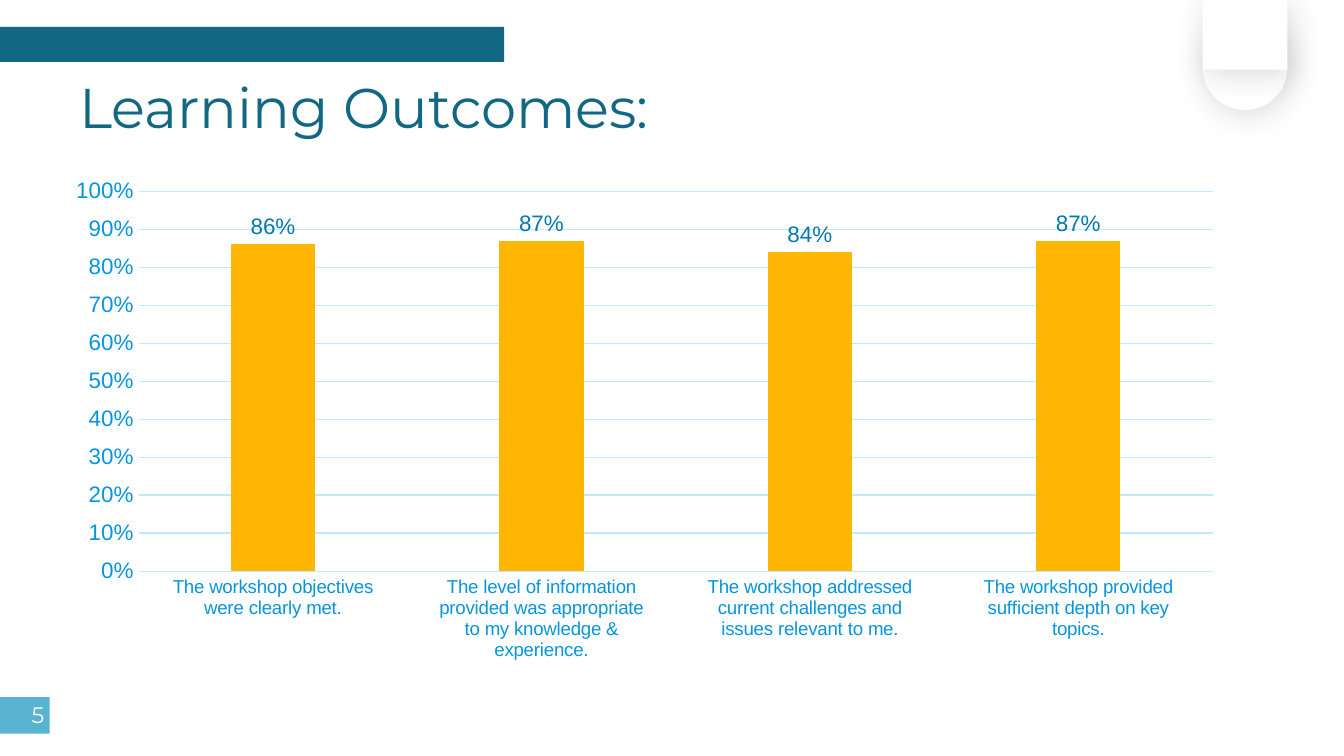
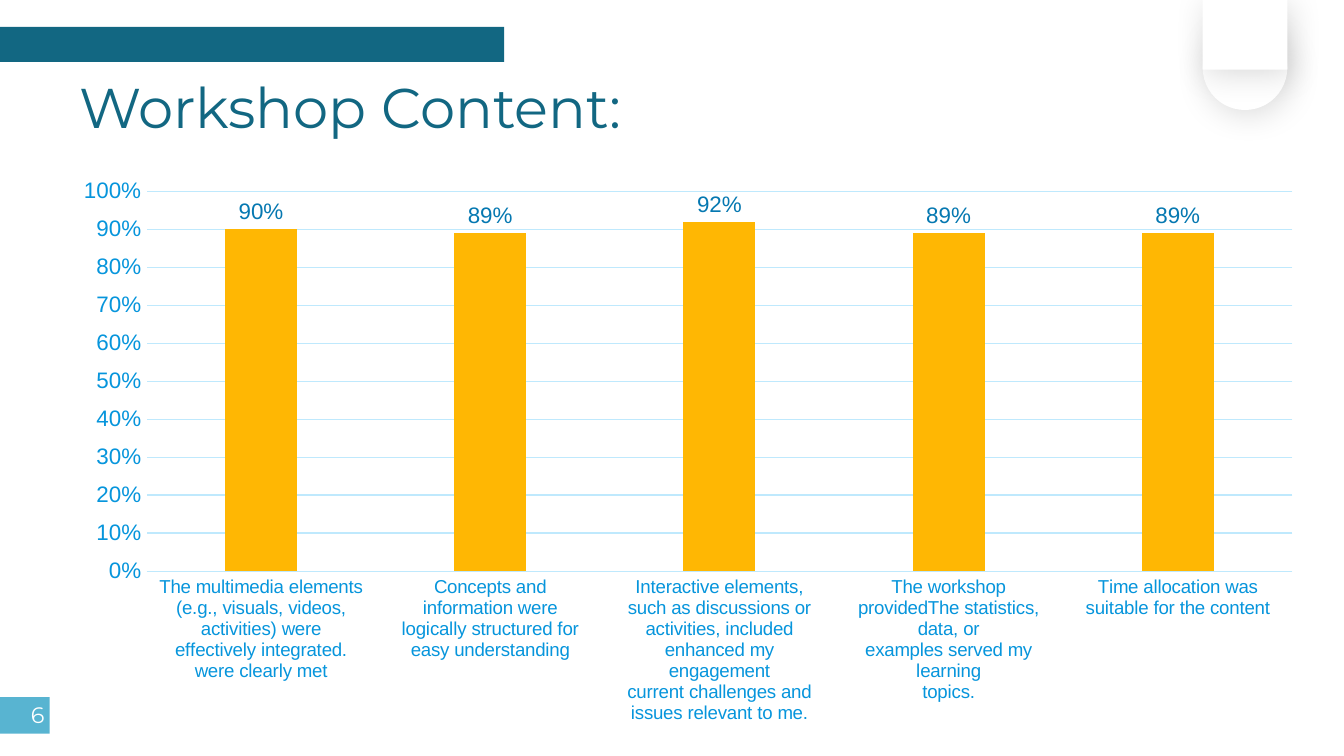
from lxml import etree
from pptx import Presentation
from pptx.chart.data import CategoryChartData
from pptx.dml.color import RGBColor
from pptx.enum.chart import XL_CHART_TYPE, XL_LABEL_POSITION, XL_TICK_MARK
from pptx.enum.shapes import MSO_SHAPE
from pptx.enum.text import MSO_ANCHOR, PP_ALIGN
from pptx.oxml import parse_xml
from pptx.oxml.ns import nsdecls, qn
from pptx.util import Cm, Pt

RECT, OVAL = MSO_SHAPE.RECTANGLE, MSO_SHAPE.OVAL
COLUMN = XL_CHART_TYPE.COLUMN_CLUSTERED
NO_TICK = XL_TICK_MARK.NONE
OUTSIDE = XL_LABEL_POSITION.OUTSIDE_END
MIDDLE, RIGHT = MSO_ANCHOR.MIDDLE, PP_ALIGN.RIGHT

WHITE, TEAL, BADGE = "FFFFFF", "126782", "58B4D1"
NAVY, AXIS, GRID, BAR, LABEL = "023047", "0695DC", "BFE9FD", "FFB703", "0578B1"
HEAD_FONT, CHART_FONT = "Montserrat", "Arial"

SHADOW = (
    f'<a:effectLst {nsdecls("a")}><a:outerShdw blurRad="{Pt(18)}" dist="{Pt(3)}" '
    'dir="2700000" algn="tl" rotWithShape="0"><a:srgbClr val="000000">'
    '<a:alpha val="14000"/></a:srgbClr></a:outerShdw></a:effectLst>'
)
PLOT = {"layoutTarget": "inner", "xMode": "edge", "yMode": "edge",
        "x": 0.093, "y": 0.038, "w": 0.88, "h": 0.656}

SLIDES = [
    (5, "Learning Outcomes:", 23.06, [
        ("The workshop objectives\nwere clearly met.", 0.86),
        ("The level of information\nprovided was appropriate\n"
         "to my knowledge &\nexperience.", 0.87),
        ("The workshop addressed\ncurrent challenges and\n"
         "issues relevant to me.", 0.84),
        ("The workshop provided\nsufficient depth on key\ntopics.", 0.87),
    ]),
    (6, "Workshop Content:", 24.61, [
        ("The multimedia elements\n(e.g., visuals, videos,\nactivities) were\n"
         "effectively integrated.\nwere clearly met", 0.9),
        ("Concepts and\ninformation were\nlogically structured for\n"
         "easy understanding", 0.89),
        ("Interactive elements,\nsuch as discussions or\nactivities, included\n"
         "enhanced my\nengagement\ncurrent challenges and\n"
         "issues relevant to me.", 0.92),
        ("The workshop providedThe statistics, data, or\nexamples served my\n"
         "learning\ntopics.", 0.89),
        ("Time allocation was\nsuitable for the content", 0.89),
    ]),
]


def rgb(value):
    return RGBColor.from_string(value)


def style_font(font, size, color, name):
    font.size = Pt(size)
    font.color.rgb = rgb(color)
    font.name = name


prs = Presentation()
prs.slide_width, prs.slide_height = Cm(25.4), Cm(14.29)

for number, title, chart_width, results in SLIDES:
    s = prs.slides.add_slide(prs.slide_layouts[6])
    tab = s.shapes.add_group_shape()

    for parent, kind, box, color in [
        (tab, OVAL, (22.73, 0.48, 1.6, 1.6), WHITE),
        (tab, RECT, (22.73, 0, 1.6, 1.32), WHITE),
        (s, RECT, (0, 13.18, 0.94, 0.69), BADGE),
        (s, RECT, (0, 0.51, 9.53, 0.66), TEAL),
    ]:
        sp = parent.shapes.add_shape(kind, *map(Cm, box))
        sp.fill.solid()
        sp.fill.fore_color.rgb = rgb(color)
        sp.line.fill.background()
        sp.shadow.inherit = False
        if parent is tab:
            effects = sp._element.spPr.find(qn("a:effectLst"))
            effects.getparent().replace(effects, parse_xml(SHADOW))

    tb = s.shapes.add_textbox(Cm(0), Cm(13.13), Cm(1.09), Cm(0.76))
    tf = tb.text_frame
    tf.word_wrap = True
    p = tf.paragraphs[0]
    p.text = str(number)
    p.alignment = RIGHT
    style_font(p.runs[0].font, 12, WHITE, HEAD_FONT)

    tb = s.shapes.add_textbox(Cm(1.5), Cm(1.5), Cm(13.87), Cm(1.24))
    tf = tb.text_frame
    tf.word_wrap = True
    tf.vertical_anchor = MIDDLE
    tf.margin_left = tf.margin_right = tf.margin_top = tf.margin_bottom = 0
    p = tf.paragraphs[0]
    p.text = title
    p.line_spacing = 0.8
    style_font(p.runs[0].font, 30, TEAL, HEAD_FONT)

    data = CategoryChartData(number_format="0%")
    data.categories = [statement for statement, score in results]
    data.add_series("Series 1", [score for statement, score in results])
    chart = s.shapes.add_chart(
        COLUMN, Cm(0.48), Cm(3.2), Cm(chart_width), Cm(10.95), data).chart
    chart.has_legend = False
    chart.has_title = False
    style_font(chart.font, 10, NAVY, CHART_FONT)

    plot_area = chart._chartSpace.chart.plotArea
    for old in plot_area.findall(qn("c:layout")):
        plot_area.remove(old)
    layout = etree.Element(qn("c:layout"))
    manual = etree.SubElement(layout, qn("c:manualLayout"))
    for tag, value in PLOT.items():
        etree.SubElement(manual, qn(f"c:{tag}")).set("val", str(value))
    plot_area.insert(0, layout)

    for axis, size in [(chart.category_axis, 10), (chart.value_axis, 12)]:
        axis.major_tick_mark = axis.minor_tick_mark = NO_TICK
        style_font(axis.tick_labels.font, size, AXIS, CHART_FONT)

    values = chart.value_axis
    values.minimum_scale, values.maximum_scale, values.major_unit = 0, 1, 0.1
    values.tick_labels.number_format = "0%"
    values.tick_labels.number_format_is_linked = False
    values.format.line.fill.background()
    for line in (values.major_gridlines.format.line,
                 chart.category_axis.format.line):
        line.color.rgb = rgb(GRID)
        line.width = Pt(0.75)

    plot = chart.plots[0]
    plot.gap_width = 219
    plot.vary_by_categories = False
    series = plot.series[0]
    series.format.fill.solid()
    series.format.fill.fore_color.rgb = rgb(BAR)
    labels = series.data_labels
    labels.show_value = True
    labels.number_format = "0%"
    labels.number_format_is_linked = False
    labels.position = OUTSIDE
    style_font(labels.font, 12, LABEL, CHART_FONT)

prs.save("out.pptx")
